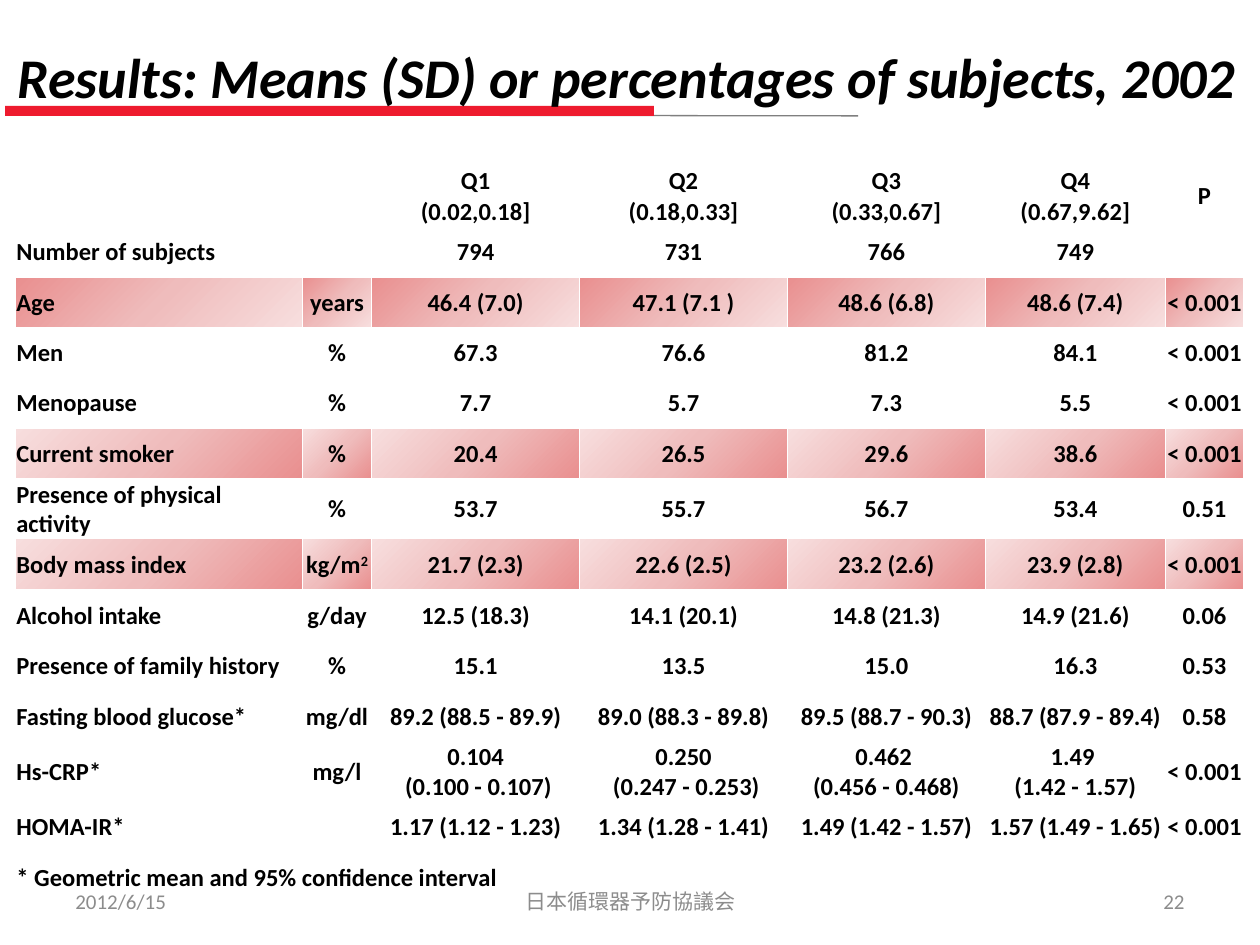
from dataclasses import dataclass

from lxml import etree
from pptx import Presentation
from pptx.dml.color import RGBColor
from pptx.enum import shapes, text
from pptx.oxml import parse_xml
from pptx.oxml.ns import nsdecls, qn
from pptx.util import Inches, Pt

FONT = "Calibri"
BLACK = RGBColor(0x00, 0x00, 0x00)
WHITE = RGBColor(0xFF, 0xFF, 0xFF)
RED = RGBColor(0xEE, 0x1B, 0x2E)
RULE_GREY = RGBColor(0x7F, 0x7F, 0x7F)
FOOTER_GREY = RGBColor(0x8C, 0x8C, 0x8C)
PINKS = {
    0: RGBColor(0xE9, 0x8F, 0x8F),
    50: RGBColor(0xEF, 0xBC, 0xBC),
    100: RGBColor(0xF7, 0xDE, 0xDE),
}
RADIAL = '<a:path path="circle"><a:fillToRect r="100000" b="100000"/></a:path>'
DIAGONAL = '<a:lin ang="13500000" scaled="1"/>'
LEFT, CENTER, RIGHT = text.PP_ALIGN.LEFT, text.PP_ALIGN.CENTER, text.PP_ALIGN.RIGHT


@dataclass(frozen=True)
class Label:
    words: str
    left: float
    top: float
    width: float
    height: float
    size: int
    color: RGBColor
    align: text.PP_ALIGN = LEFT
    anchor: text.MSO_ANCHOR = text.MSO_ANCHOR.MIDDLE
    heading: bool = False


@dataclass(frozen=True)
class Measure:
    cells: tuple[str, ...]
    height: float = 0.4
    shade: str = ""


TITLE = Label("Results: Means (SD) or percentages of subjects, 2002",
              0.04, 0.29, 9.97, 0.64, 32, BLACK,
              anchor=text.MSO_ANCHOR.TOP, heading=True)
FOOTERS = [
    Label("2012/6/15", 0.5, 6.95, 2.33, 0.4, 12, FOOTER_GREY),
    Label("日本循環器予防協議会", 3.42, 6.95, 3.17, 0.4, 12, FOOTER_GREY, CENTER),
    Label("22", 7.17, 6.95, 2.33, 0.4, 12, FOOTER_GREY, RIGHT),
]

# A caret marks the start of a superscript
COLUMN_WIDTHS = [2.28, 0.55, 1.65, 1.65, 1.57, 1.43, 0.62]
MEASURES = [
    Measure(("", "", "Q1", "Q2", "Q3", "Q4", "P"), 0.16),
    Measure(("", "", "(0.02,0.18]", "(0.18,0.33]", "(0.33,0.67]", "(0.67,9.62]", ""), 0.16),
    Measure(("Number of subjects", "", "794", "731", "766", "749", "")),
    Measure(("Age", "years", "46.4 (7.0)", "47.1 (7.1 )", "48.6 (6.8)", "48.6 (7.4)",
             "< 0.001"), shade=RADIAL),
    Measure(("Men", "%", "67.3", "76.6", "81.2", "84.1", "< 0.001")),
    Measure(("Menopause", "%", "7.7", "5.7", "7.3", "5.5", "< 0.001")),
    Measure(("Current smoker", "%", "20.4", "26.5", "29.6", "38.6", "< 0.001"),
            shade=DIAGONAL),
    Measure(("Presence of physical activity", "%", "53.7", "55.7", "56.7", "53.4", "0.51")),
    Measure(("Body mass index", "kg/m^2", "21.7 (2.3)", "22.6 (2.5)", "23.2 (2.6)",
             "23.9 (2.8)", "< 0.001"), 0.41, DIAGONAL),
    Measure(("Alcohol intake", "g/day", "12.5 (18.3)", "14.1 (20.1)", "14.8 (21.3)",
             "14.9 (21.6)", "0.06")),
    Measure(("Presence of family history", "%", "15.1", "13.5", "15.0", "16.3", "0.53")),
    Measure(("Fasting blood glucose*", "mg/dl", "89.2 (88.5 - 89.9)", "89.0 (88.3 - 89.8)",
             "89.5 (88.7 - 90.3)", "88.7 (87.9 - 89.4)", "0.58")),
    Measure(("Hs-CRP*", "mg/l", "0.104\n (0.100 - 0.107)", "0.250\n (0.247 - 0.253)",
             "0.462 \n(0.456 - 0.468)", "1.49 \n(1.42 - 1.57)", "< 0.001")),
    Measure(("HOMA-IR*", "", "1.17 (1.12 - 1.23)", "1.34 (1.28 - 1.41)",
             "1.49 (1.42 - 1.57)", "1.57 (1.49 - 1.65)", "< 0.001")),
    Measure(("* Geometric mean and 95% confidence interval", "", "", "", "", "", "")),
]


def style_span(span, size: int, color: RGBColor, bold: bool = False,
               italic: bool = False) -> None:
    span.font.name = FONT
    span.font.size = Pt(size)
    span.font.color.rgb = color
    span.font.bold = bold
    span.font.italic = italic


def add_label(page, label: Label) -> None:
    box = page.shapes.add_textbox(Inches(label.left), Inches(label.top),
                                  Inches(label.width), Inches(label.height))
    frame = box.text_frame
    frame.text = label.words
    frame.word_wrap = not label.heading
    frame.vertical_anchor = label.anchor
    if label.heading:
        frame.auto_size = text.MSO_AUTO_SIZE.SHAPE_TO_FIT_TEXT
    para = frame.paragraphs[0]
    para.alignment = label.align
    style_span(para.runs[0], label.size, label.color, label.heading, label.heading)


def add_title_rule(page) -> None:
    rule = page.shapes.add_connector(shapes.MSO_CONNECTOR.STRAIGHT, Inches(0.09),
                                     Inches(0.91), Inches(6.81), Inches(0.92))
    rule.line.color.rgb = RULE_GREY
    rule.line.width = Pt(0.75)
    etree.SubElement(rule._element.spPr, qn("a:effectLst"))
    bar = page.shapes.add_shape(shapes.MSO_SHAPE.ROUNDED_RECTANGLE, Inches(0.04),
                                Inches(0.84), Inches(5.15), Inches(0.08))
    bar.adjustments[0] = 0
    bar.shadow.inherit = False
    bar.fill.solid()
    bar.fill.fore_color.rgb = RED
    bar.line.fill.background()


def paint_cell(cell, shade: str) -> None:
    """Give the cell white borders and either a pink gradient or no fill."""
    properties = cell._tc.get_or_add_tcPr()
    for side in ("lnL", "lnR", "lnT", "lnB"):
        properties.append(parse_xml(
            f'<a:{side} {nsdecls("a")} w="12700"><a:solidFill>'
            f'<a:srgbClr val="{WHITE}"/></a:solidFill></a:{side}>'))
    if not shade:
        cell.fill.background()
        return
    stops = "".join(f'<a:gs pos="{place * 1000}"><a:srgbClr val="{pink}"/></a:gs>'
                    for place, pink in PINKS.items())
    properties.append(parse_xml(
        f'<a:gradFill {nsdecls("a")} rotWithShape="1">'
        f'<a:gsLst>{stops}</a:gsLst>{shade}</a:gradFill>'))


def write_cell(cell, words: str, align: text.PP_ALIGN) -> None:
    base, _, raised = words.partition("^")
    cell.text_frame.text = base
    cell.vertical_anchor = text.MSO_ANCHOR.MIDDLE
    cell.margin_left = cell.margin_right = cell.margin_top = Inches(0.01)
    cell.margin_bottom = 0
    if raised:
        span = cell.text_frame.paragraphs[0].add_run()
        span.text = raised
        span._r.get_or_add_rPr().set("baseline", "30000")
    for para in cell.text_frame.paragraphs:
        para.alignment = align
        for span in para.runs:
            style_span(span, 14, BLACK, bold=True)
        if not para.runs:
            # Keeps empty cells from stretching their row
            para._p.get_or_add_endParaRPr().set("sz", "1400")


def add_results(page) -> None:
    frame = page.shapes.add_table(
        len(MEASURES), len(COLUMN_WIDTHS), Inches(0.12), Inches(1.31),
        Inches(sum(COLUMN_WIDTHS)), Inches(sum(m.height for m in MEASURES)))
    table = frame.table
    table.first_row = table.horz_banding = False
    for column, width in zip(table.columns, COLUMN_WIDTHS):
        column.width = Inches(width)
    for row, measure in zip(table.rows, MEASURES):
        row.height = Inches(measure.height)
        for index, (cell, words) in enumerate(zip(row.cells, measure.cells)):
            write_cell(cell, words, CENTER if index else LEFT)
            paint_cell(cell, measure.shade)
    # The P heading spans two rows, the footnote three columns
    table.cell(0, 6).merge(table.cell(1, 6))
    last = len(MEASURES) - 1
    table.cell(last, 0).merge(table.cell(last, 2))


def main() -> None:
    deck = Presentation()
    deck.slide_width, deck.slide_height = Inches(10), Inches(7.5)
    page = deck.slides.add_slide(deck.slide_layouts[6])
    add_title_rule(page)
    add_label(page, TITLE)
    add_results(page)
    for footer in FOOTERS:
        add_label(page, footer)
    deck.save("out.pptx")


if __name__ == "__main__":
    main()
